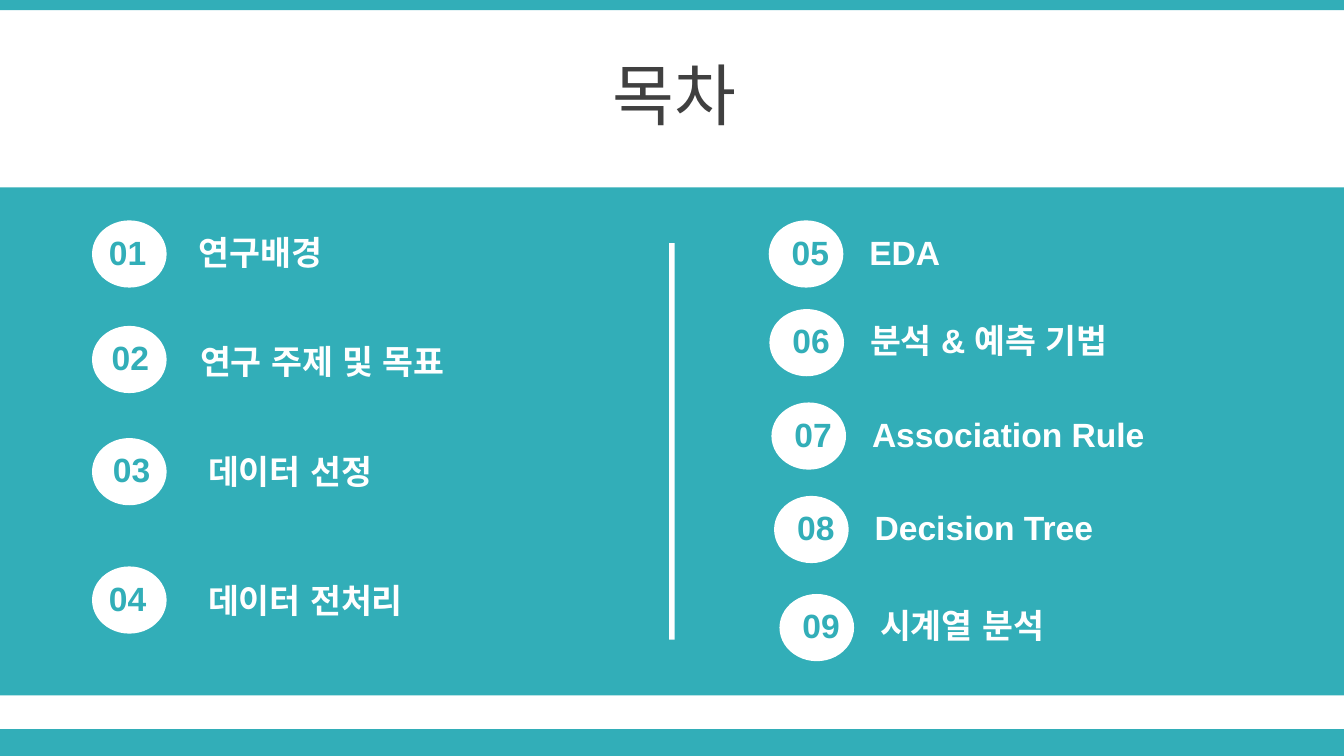
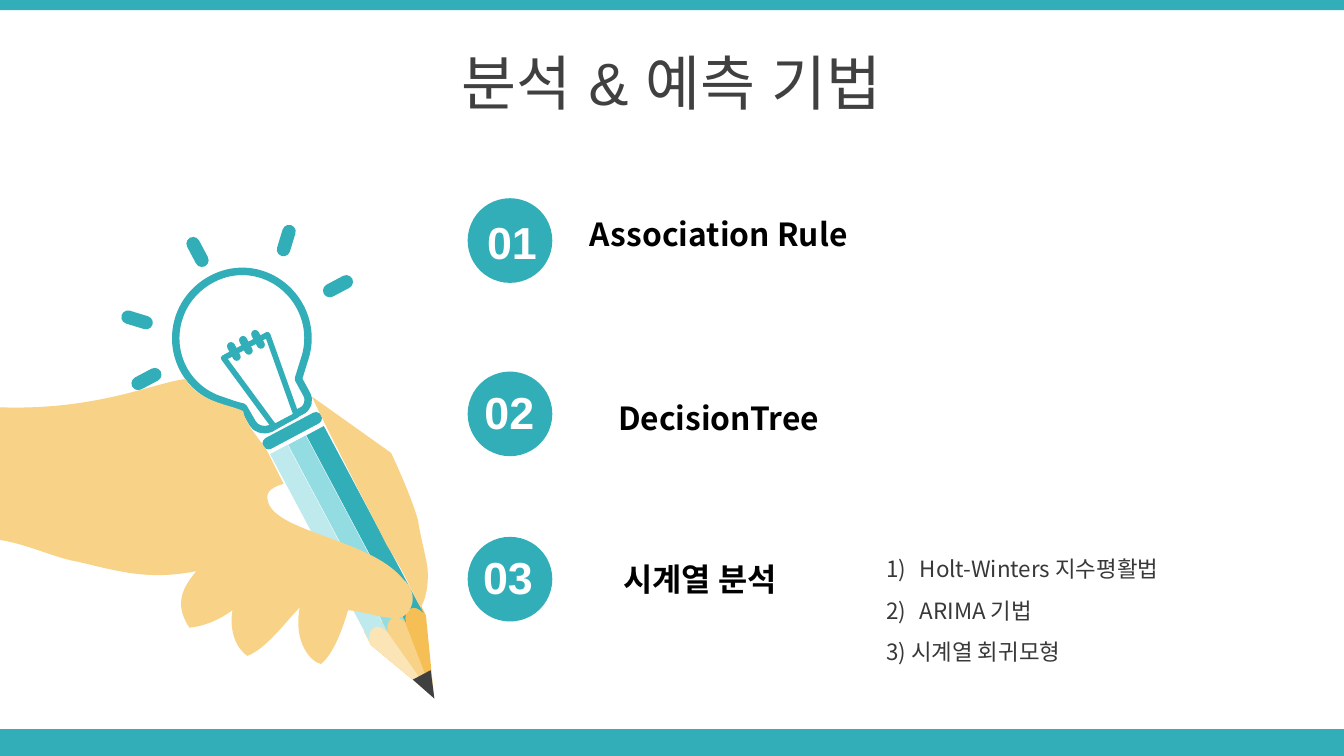
from dataclasses import dataclass
from math import cos, radians, sin

from lxml import etree
from pptx import Presentation
from pptx.dml.color import RGBColor
from pptx.enum.shapes import MSO_SHAPE as SHAPE
from pptx.enum.text import MSO_ANCHOR as ANCHOR, PP_ALIGN as ALIGN
from pptx.oxml.ns import qn
from pptx.util import Emu, Pt

EMU_PER_PX = 4572  # 200 px to the inch
SLIDE_WIDTH, SLIDE_HEIGHT = 2000, 1125
PENCIL_TILT = 332

COLORS = {
    "teal": "32AEB8", "teal_mid": "92DCE2", "teal_pale": "BEEAED",
    "amber": "F6BF56", "skin": "F8D286", "cream": "FBE4B6",
    "white": "FFFFFF", "black": "000000", "dark": "404040", "body": "383838",
}
LATIN, KOREAN = "Arial", "Noto Sans CJK KR"


def px(value):
    return Emu(round(value * EMU_PER_PX))


def rgb(name):
    return RGBColor.from_string(COLORS[name])


def paint(shape, fill, line=None, line_width=0):
    shape.shadow.inherit = False
    shape.fill.solid()
    shape.fill.fore_color.rgb = rgb(fill)
    if line:
        shape.line.color.rgb = rgb(line)
        shape.line.width = Pt(line_width)
    else:
        shape.line.fill.background()


def add_shape(shapes, kind, box, fill, rotation=0, line=None, line_width=0):
    shape = shapes.add_shape(kind, *map(px, box))
    shape.rotation = rotation
    paint(shape, fill, line, line_width)
    return shape


def add_pill(shapes, box, rotation):
    pill = add_shape(shapes, SHAPE.ROUNDED_RECTANGLE, box, "teal", rotation)
    pill.adjustments[0] = 0.5


def turn(x, y, degrees):
    """Turn a point clockwise about the zero point."""
    c, s = cos(radians(degrees)), sin(radians(degrees))
    return x * c - y * s, x * s + y * c


def bend(line, points, shape):
    """Replace a straight segment by a cubic curve through the given points."""
    curve = etree.Element(qn("a:cubicBezTo"))
    for x, y in points:
        etree.SubElement(curve, qn("a:pt"), x=str(round(x - shape.left)),
                         y=str(round(y - shape.top)))
    line.getparent().replace(line, curve)


def add_outline(shapes, contours, origin, fill, rotation=0, line=None, line_width=0):
    """Contours list corners as pairs and curves as sextuples, as they look when turned."""
    left, top = origin
    builder, segments = None, []
    for contour in contours:
        parts = [[turn(px(left + x), px(top + y), -rotation)
                  for x, y in zip(part[::2], part[1::2])] for part in contour]
        start = parts[0][0]
        if builder is None:
            builder = shapes.build_freeform(*start, scale=1.0)
        else:
            builder.move_to(*start)
        builder.add_line_segments([part[-1] for part in parts[1:]], close=False)
        builder.add_line_segments([], close=True)
        segments += parts[1:]
    shape = builder.convert_to_shape()
    for straight, points in zip(list(shape._element.iter(qn("a:lnTo"))), segments):
        if len(points) == 3:
            bend(straight, points, shape)
    half_width, half_height = shape.width / 2, shape.height / 2
    x, y = turn(shape.left + half_width, shape.top + half_height, rotation)
    shape.left, shape.top = Emu(round(x - half_width)), Emu(round(y - half_height))
    shape.rotation = rotation
    paint(shape, fill, line, line_width)


def add_run(paragraph, text, size, color, font=LATIN, bold=False):
    run = paragraph.add_run()
    run.text = text
    run.font.name, run.font.size, run.font.bold = font, Pt(size), bold
    run.font.color.rgb = rgb(color)
    etree.SubElement(run.font._element, qn("a:ea"), typeface=font)


def add_text_frame(slide, box):
    frame = slide.shapes.add_textbox(*map(px, box)).text_frame
    frame.word_wrap = True
    return frame


def indent(paragraph, margin, first_line, numbered=False):
    properties = paragraph._p.get_or_add_pPr()
    properties.set("marL", str(px(margin)))
    properties.set("indent", str(px(first_line)))
    if numbered:
        etree.SubElement(properties, qn("a:buAutoNum"), type="arabicParenR")


def add_base_slide(presentation, title, title_box, title_size):
    """Blank slide with the teal edge bands and a centred title."""
    slide = presentation.slides.add_slide(presentation.slide_layouts[6])
    for top, height in ((1085, 40), (0, 15)):
        add_shape(slide.shapes, SHAPE.RECTANGLE, (0, top, SLIDE_WIDTH, height), "teal")
    frame = add_text_frame(slide, title_box)
    frame.vertical_anchor = ANCHOR.MIDDLE
    paragraph = frame.paragraphs[0]
    paragraph.alignment = ALIGN.CENTER
    add_run(paragraph, title, title_size, "dark")
    return slide


@dataclass
class ItemStyle:
    badge: tuple
    badge_color: str
    number_color: str
    number_size: int
    number_height: int
    text_color: str
    text_size: int
    text_font: str
    hanging: bool = False


CONTENTS = ItemStyle((111, 100), "white", "teal", 18, 80, "white", 18, LATIN)
METHODS = ItemStyle((126, 126), "teal", "white", 24, 100, "black", 17, KOREAN, True)


def add_item(slide, style, number, text, badge_at, number_offset, text_offset, text_width):
    """Numbered badge with its caption; offsets count from the badge corner."""
    left, top = badge_at
    add_shape(slide.shapes, SHAPE.OVAL, (left, top, *style.badge), style.badge_color)

    dx, dy = number_offset
    paragraph = add_text_frame(
        slide, (left + dx, top + dy, 140, style.number_height)).paragraphs[0]
    paragraph.alignment = ALIGN.CENTER
    add_run(paragraph, f"{number:02d}", style.number_size, style.number_color, bold=True)

    dx, dy = text_offset
    paragraph = add_text_frame(slide, (left + dx, top + dy, text_width, 80)).paragraphs[0]
    if style.hanging:
        paragraph.alignment = ALIGN.JUSTIFY
        paragraph.space_after = Pt(8)
        indent(paragraph, 106, -50)
    add_run(paragraph, text, style.text_size, style.text_color, style.text_font, True)


def add_contents_panel(slide, left, top, width, height):
    add_shape(slide.shapes, SHAPE.RECTANGLE, (left, top, width, height), "teal")
    add_shape(slide.shapes, SHAPE.RECTANGLE,
              (left + width // 2 - 4, top + 83, 8, 590), "white")
    # text, badge top, number shift, text shift
    left_column = [
        ("연구배경", 49, -17, (139, 7)),
        ("연구 주제 및 목표", 206, -13, (141, 13)),
        ("데이터 선정", 373, -11, (153, 10)),
        ("데이터 전처리", 564, -17, (153, 10)),
    ]
    for number, (text, y, shift, text_offset) in enumerate(left_column, 1):
        add_item(slide, CONTENTS, number, text, (left + 137, top + y),
                 (shift, 7), text_offset, 574)
    right_column = [
        ("EDA", 1144, 49),
        ("분석 & 예측 기법", 1145, 181),
        ("Association Rule", 1148, 320),
        ("Decision Tree", 1152, 459),
        ("시계열 분석", 1160, 605),
    ]
    for number, (text, x, y) in enumerate(right_column, len(left_column) + 1):
        add_item(slide, CONTENTS, number, text, (left + x, top + y), (-8, 7), (130, 7), 574)


def add_pencil(shapes, left, top):
    wood = [
        ("amber", [(542, 940), (624, 896), (634, 916), (646, 1038), (552, 960)]),
        ("skin", [(568, 926), (596, 910), (602, 924), (646, 1038), (578, 944)]),
        ("cream", [(542, 940), (568, 926), (572, 930, 572, 936, 576, 940),
                   (644, 1036), (552, 960)]),
    ]
    for color, contour in wood:
        add_outline(shapes, [contour], (left, top), color, PENCIL_TILT)
    stripe = [(402, 676), (428, 662), (576, 940), (570, 934, 562, 930, 556, 934),
              (550, 938, 548, 946, 550, 954)]
    for index, color in enumerate(("teal_pale", "teal_mid", "teal")):
        add_outline(shapes, [stripe], (left + 27 * index, top - 14 * index),
                    color, PENCIL_TILT)
    add_shape(shapes, SHAPE.ISOSCELES_TRIANGLE, (left + 622, top + 1002, 30, 40), "dark", 152)


def add_bulb(shapes, left, top):
    glass = [
        (314, 416), (336, 404, 362, 400, 388, 408), (440, 424, 470, 480, 454, 532),
        (444, 564), (456, 586), (462, 596, 458, 608, 448, 612), (426, 624), (402, 638),
        (392, 642, 380, 638, 376, 630), (362, 606), (352, 604, 342, 600, 330, 596),
        (278, 580, 250, 526, 266, 474), (274, 448, 292, 428, 314, 416),
    ]
    add_outline(shapes, [glass], (left, top), "white", 107, "teal", 4)
    add_shape(shapes, SHAPE.TRAPEZOID, (left + 358, top + 508, 74, 126),
              "white", 152, "teal", 3)
    rays = [(416, 334, 17), (194, 452, 287), (284, 351, 332), (493, 402, 62), (208, 540, 242)]
    for x, y, rotation in rays:
        add_pill(shapes, (left + x, top + y, 20, 48), rotation)
    add_pill(shapes, (left + 386, top + 632, 98, 18), PENCIL_TILT)
    for index in range(3):
        add_pill(shapes, (left + 342 + 18 * index, top + 508 - 9 * index, 12, 30), PENCIL_TILT)


def add_hand(shapes, left, top):
    back = [
        (464, 590), (582, 674), (598, 708, 614, 746, 622, 774),
        (626, 800, 632, 820, 636, 844), (638, 862, 636, 888, 626, 904),
        (616, 888, 608, 862, 576, 812), (550, 760, 492, 650, 464, 590),
    ]
    fingers = [
        (276, 564), (298, 600, 344, 602, 362, 612), (364, 630, 390, 658, 398, 672),
        (408, 692, 414, 704, 422, 720), (408, 724, 396, 730, 398, 742),
        (402, 792, 550, 800, 600, 862), (626, 884, 612, 918, 592, 920),
        (564, 920, 554, 912, 518, 908), (506, 948, 494, 974, 478, 988),
        (464, 986, 436, 958, 446, 904), (426, 924, 396, 966, 368, 976),
        (346, 960, 342, 930, 346, 908), (330, 920, 306, 932, 282, 934),
        (256, 896, 276, 870, 292, 850), (220, 864, 176, 850, 116, 836),
        (70, 828, 26, 800, -40, 800), (-36, 604), (130, 618, 226, 570, 276, 564),
    ]
    add_outline(shapes, [back, fingers], (left, top), "skin")


def add_method_list(slide, left, top, width, height):
    frame = add_text_frame(slide, (left, top, width, height))
    lines = [("Holt-Winters 지수평활법", True), ("ARIMA 기법", True), ("3) 시계열 회귀모형", False)]
    for index, (text, numbered) in enumerate(lines):
        paragraph = frame.add_paragraph() if index else frame.paragraphs[0]
        paragraph.alignment = ALIGN.JUSTIFY
        paragraph.space_after = Pt(8)
        indent(paragraph, *((105, -50) if numbered else (55, 0)), numbered)
        add_run(paragraph, text, 12, "body", KOREAN)


def build_contents_slide(presentation):
    slide = add_base_slide(presentation, "목차", (4, 76, SLIDE_WIDTH, 126), 36)
    add_contents_panel(slide, 0, 279, SLIDE_WIDTH, 756)


def build_methods_slide(presentation):
    slide = add_base_slide(presentation, "분석 & 예측 기법", (0, 58, SLIDE_WIDTH, 126), 32)
    drawing = slide.shapes.add_group_shape().shapes
    add_pencil(drawing, 0, 0)
    add_bulb(drawing, 0, 0)
    add_hand(slide.shapes, 0, 0)
    items = [
        ("Association Rule", 295, (-4, 15), (106, 15), 490),
        ("DecisionTree", 553, (-8, 9), (148, 31), 438),
        ("시계열 분석", 799, (-10, 9), (156, 24), 392),
    ]
    for number, (text, top, number_offset, text_offset, width) in enumerate(items, 1):
        add_item(slide, METHODS, number, text, (696, top), number_offset, text_offset, width)
    add_method_list(slide, 1244, 816, 592, 186)


def main():
    presentation = Presentation()
    presentation.slide_width, presentation.slide_height = px(SLIDE_WIDTH), px(SLIDE_HEIGHT)
    build_contents_slide(presentation)
    build_methods_slide(presentation)
    presentation.save("out.pptx")


if __name__ == "__main__":
    main()
